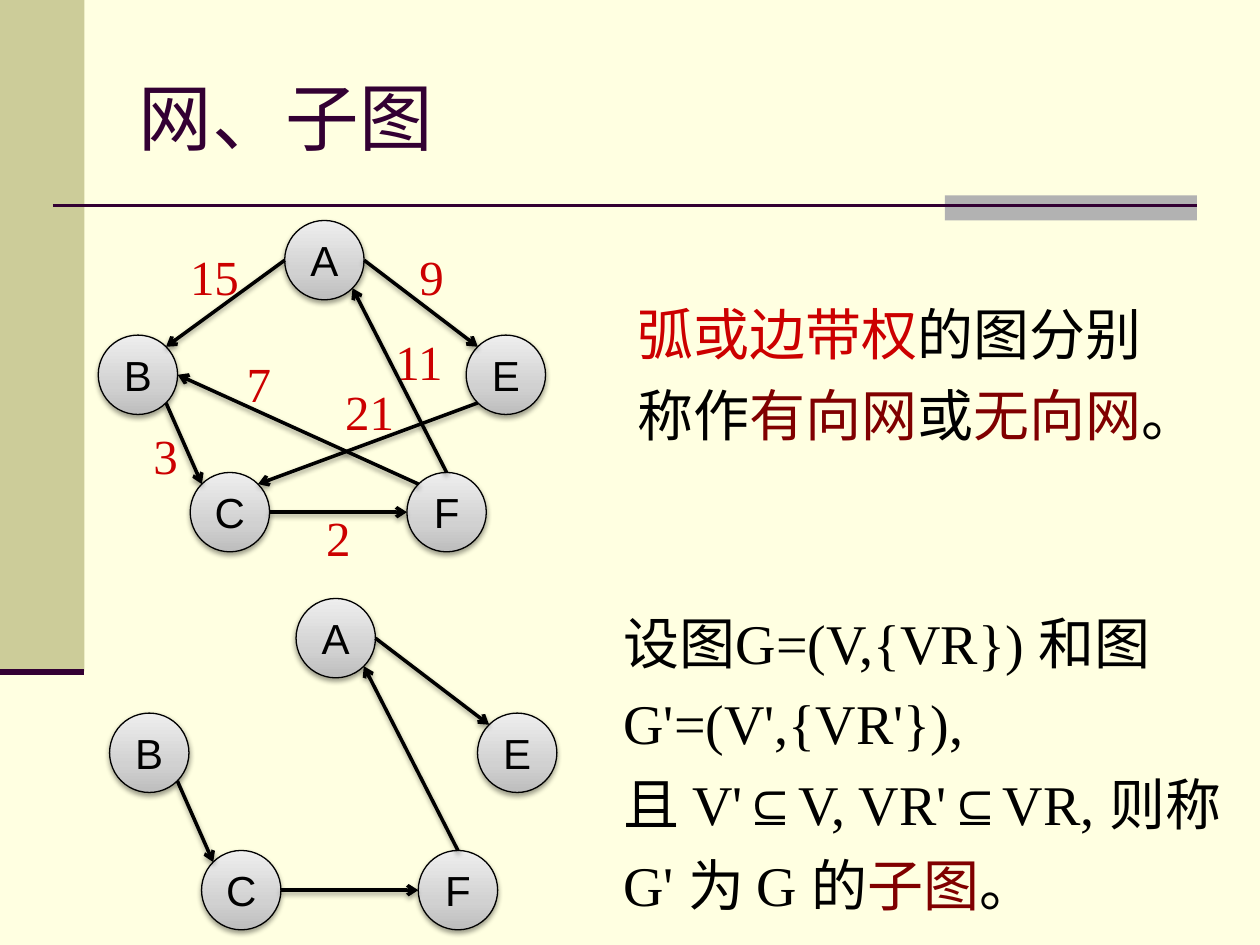
from copy import deepcopy
from math import cos, radians, sin
from lxml import etree
from pptx import Presentation
from pptx.dml.color import RGBColor
from pptx.enum.shapes import MSO_CONNECTOR, MSO_SHAPE
from pptx.enum.text import MSO_ANCHOR, MSO_AUTO_SIZE, PP_ALIGN
from pptx.oxml import parse_xml
from pptx.oxml.ns import qn
from pptx.util import Inches, Pt

OVAL, RECT = MSO_SHAPE.OVAL, MSO_SHAPE.RECTANGLE
LINE = MSO_CONNECTOR.STRAIGHT
MIDDLE = MSO_ANCHOR.MIDDLE
LEFT, CENTER = PP_ALIGN.LEFT, PP_ALIGN.CENTER
color = RGBColor.from_string
BLACK, RED, MAROON, PLUM = "000000", "CC0000", "800000", "330033"
SANS, SERIF = "Arial", "Times New Roman"
SHADOW = (
    '<a:effectLst xmlns:a="http://schemas.openxmlformats.org/drawingml/2006/main">'
    '<a:outerShdw blurRad="39370" dist="20320" dir="5400000" rotWithShape="0">'
    '<a:srgbClr val="000000"><a:alpha val="38000"/></a:srgbClr>'
    '</a:outerShdw></a:effectLst>')


def style(run, size, face, tint):
    run.font.size = Pt(size)
    run.font.name = face
    run.font.color.rgb = color(tint)


def draw(start, end, width, tint, arrow=False):
    """Draw a line; an arrow also gets a head and a soft shadow."""
    line = slide.shapes.add_connector(LINE, *map(Inches, (*start, *end)))
    line.line.width = Pt(width)
    line.line.color.rgb = color(tint)
    props = line._element.spPr
    if arrow:
        etree.SubElement(props.find(qn("a:ln")), qn("a:tailEnd"), type="arrow")
        props.append(parse_xml(SHADOW))
    else:
        etree.SubElement(props, qn("a:effectLst"))


deck = Presentation()
deck.slide_width, deck.slide_height = Inches(10), Inches(7.5)
slide = deck.slides.add_slide(deck.slide_layouts[5])
slide.background.fill.solid()
slide.background.fill.fore_color.rgb = color("FFFFE1")

# Side band, rule and title
for box, tint in (((0, 0, 0.67, 5.33), "CCCC99"), ((7.5, 1.55, 2, 0.2), "B2B2B2")):
    band = slide.shapes.add_shape(RECT, *map(Inches, box))
    band.shadow.inherit = False
    band.fill.solid()
    band.fill.fore_color.rgb = color(tint)
    band.line.fill.background()
draw((0.42, 1.63), (9.5, 1.63), 1.5, PLUM)
draw((0, 5.33), (0.67, 5.33), 3.5, PLUM)

title = slide.shapes.title
title.left, title.top, title.width, title.height = map(Inches, (1, 0.3, 8.5, 1.25))
frame = title.text_frame
frame.text = "网、子图"
frame.auto_size = MSO_AUTO_SIZE.NONE
frame.vertical_anchor = MIDDLE
frame.paragraphs[0].alignment = LEFT
style(frame.paragraphs[0].runs[0], 42, SANS, PLUM)

# Definitions
notes = (
    ((4.96, 2.22, 4.57, 1.39), (
        (("弧或边带权", RED), ("的图分别称作", BLACK), ("有向网", MAROON),
         ("或", BLACK), ("无向网", MAROON), ("。", BLACK)),)),
    ((4.85, 4.67, 4.98, 2.68), (
        (("设图G=(V,{VR}) 和图 G'=(V',{VR'}),", BLACK),),
        (("且 V'⊆V, VR'⊆VR, 则称 G' 为 G 的", BLACK), ("子图", MAROON),
         ("。", BLACK)))),
)
for box, paras in notes:
    frame = slide.shapes.add_textbox(*map(Inches, box)).text_frame
    frame.word_wrap = True
    for i, parts in enumerate(paras):
        para = frame.add_paragraph() if i else frame.paragraphs[0]
        para.line_spacing = 1.2
        for text, tint in parts:
            run = para.add_run()
            run.text = text
            style(run, 32, SERIF, tint)

# Edge weights
weights = (("15", 1.41, 1.91), ("9", 3.23, 1.91), ("7", 1.86, 2.76), ("21", 2.64, 2.98),
           ("11", 3.04, 2.58), ("3", 1.12, 3.33), ("2", 2.49, 3.98))
for text, x, y in weights:
    wide = 0.21 + 0.19 * len(text)
    frame = slide.shapes.add_textbox(*map(Inches, (x, y, wide, 0.57))).text_frame
    frame.word_wrap = False
    frame.text = text
    style(frame.paragraphs[0].runs[0], 28, SERIF, RED)

# Graphs: node corners, and edges as (from, angle, to, angle), counter-clockwise from the right
SIZE = 0.63
nodes = {"A": (2.26, 1.75), "B": (0.78, 2.66), "C": (1.51, 3.75),
         "E": (3.7, 2.66), "F": (3.23, 3.75)}
shared = (("A", 0, "E", 135), ("B", 315, "C", 135), ("F", 90, "A", 315), ("C", 0, "F", 180))
extra = (("A", 180, "B", 45), ("E", 225, "C", 45), ("F", 135, "B", 0))
stops = ((0, "BDBDBD"), (0.35, "D1D1D1"), (1, "EEEEEE"))

for dx, dy, edges in ((0, 0, shared + extra), (0.09, 3, shared)):
    for name, (x, y) in nodes.items():
        node = slide.shapes.add_shape(OVAL, *map(Inches, (x + dx, y + dy, SIZE, SIZE)))
        node.fill.gradient()
        node.fill.gradient_angle = 90
        props = node._element.spPr
        marks = props.find(".//" + qn("a:gsLst"))
        marks.append(deepcopy(marks[-1]))
        for stop, (pos, tint) in zip(node.fill.gradient_stops, stops):
            stop.position = pos
            stop.color.rgb = color(tint)
        node.line.width = Pt(0.75)
        node.line.color.rgb = color(BLACK)
        props.append(parse_xml(SHADOW))
        frame = node.text_frame
        frame.text = name
        frame.word_wrap = False
        frame.vertical_anchor = MIDDLE
        frame.paragraphs[0].alignment = CENTER
        style(frame.paragraphs[0].runs[0], 24, SANS, BLACK)
    for tail, out, head, into in edges:
        ends = []
        for name, turn in ((tail, out), (head, into)):
            x, y = nodes[name]
            ends.append((x + dx + SIZE / 2 * (1 + cos(radians(turn))),
                         y + dy + SIZE / 2 * (1 - sin(radians(turn)))))
        draw(*ends, 2, BLACK, arrow=True)

deck.save("out.pptx")
